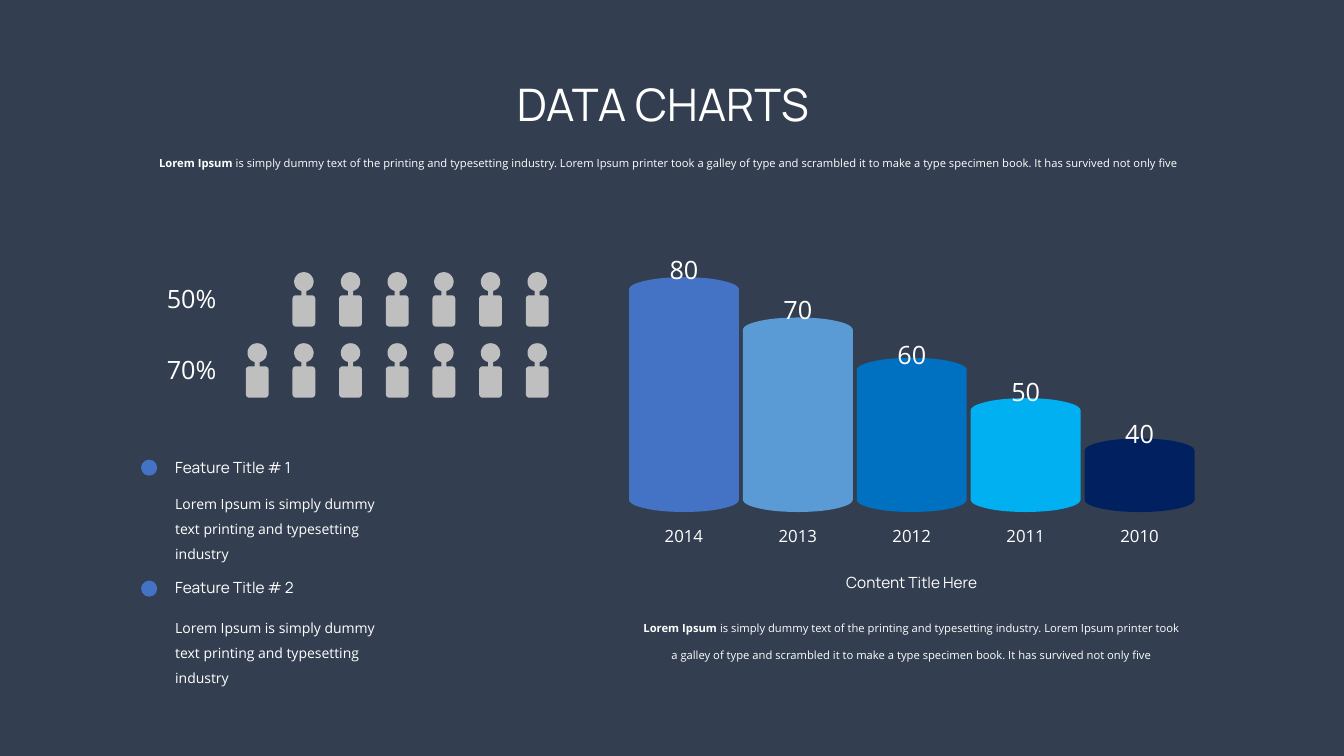
import math
from dataclasses import dataclass

from pptx import Presentation, util as u
from pptx.dml.color import RGBColor
from pptx.enum import shapes, text

# The grid has square cells: 75 rows fill the height of the slide.
COLS, ROWS = 133.33, 75
CELL = u.Inches(7.5) // ROWS
UNITS = 100  # outline units in one cell

Point = tuple[float, float]


@dataclass(frozen=True)
class Theme:
    background: str = "333F50"
    text: str = "FFFFFF"
    accent: str = "4472C4"
    person: str = "BFBFBF"
    bars: tuple[str, ...] = ("4472C4", "5B9BD5", "0070C0", "00B0F0", "002060")
    heading_font: str = "Manrope"
    body_font: str = "Open Sans"
    title: int = 32
    value: int = 18
    year: int = 12
    heading: int = 11
    body: int = 10
    small: int = 8


@dataclass(frozen=True)
class Label:
    text: str
    col: float
    row: float
    width: float
    height: float
    size: int
    font: str
    centred: bool = False
    spacing: float = 1.0
    bold_lead: str = ""


@dataclass(frozen=True)
class Bar:
    year: int
    value: int
    value_row: float


@dataclass(frozen=True)
class Crowd:
    share: str
    people: int
    row: float


@dataclass(frozen=True)
class Feature:
    title: str
    title_row: float
    dot_row: float
    body_row: float


THEME = Theme()
LEAD = "Lorem Ipsum"
INTRO = (" is simply dummy text of the printing and typesetting industry. "
         "Lorem Ipsum printer took a galley of type and scrambled it to make "
         "a type specimen book. It has survived not only five")
FEATURE_BODY = "Lorem Ipsum is simply dummy text printing and typesetting industry"

BARS = (Bar(2014, 80, 24.7), Bar(2013, 70, 28.7), Bar(2012, 60, 33.2),
        Bar(2011, 50, 36.8), Bar(2010, 40, 41))
BAR_LEFT, BAR_PITCH, BAR_WIDTH, BAR_BOTTOM = 62.4, 11.3, 10.9, 50.8
SHORTEST, ROWS_PER_POINT = 7.3, 0.4
CAP = SHORTEST / 6

CROWDS = (Crowd("50%", 6, 27), Crowd("70%", 7, 34.05))
LAST_PERSON, PERSON_PITCH = 53.3, 4.63

FEATURES = (Feature("Feature Title # 1", 45, 45.6, 47.8),
            Feature("Feature Title # 2", 56.9, 57.6, 60.1))
FEATURE_COL = 16.4

LABELS = (
    Label("DATA CHARTS", 50.3, 7.1, 32.8, 6.4, THEME.title, THEME.heading_font),
    Label(INTRO, 14.8, 13.7, 103.7, 3.3, THEME.small, THEME.body_font,
          spacing=2.0, bold_lead=LEAD),
    Label("Content Title Here", 82.5, 56.4, 15.9, 2.9, THEME.heading,
          THEME.heading_font, centred=True),
    Label(INTRO, 62.4, 59.8, 56.1, 6, THEME.small, THEME.body_font,
          centred=True, spacing=2.0, bold_lead=LEAD),
)


def cells(count: float) -> u.Emu:
    return u.Emu(round(count * CELL))


def paint(sp, colour: str) -> None:
    sp.fill.solid()
    sp.fill.fore_color.rgb = RGBColor.from_string(colour)
    sp.line.fill.background()
    sp.shadow.inherit = False


def add_preset(s, kind: shapes.MSO_SHAPE, col: float, row: float,
               width: float, height: float, colour: str) -> None:
    sp = s.shapes.add_shape(kind, *map(cells, (col, row, width, height)))
    paint(sp, colour)


def add_outline(s, points: list[Point], colour: str) -> None:
    scaled = [(x * UNITS, y * UNITS) for x, y in points]
    builder = s.shapes.build_freeform(*scaled[0], scale=CELL / UNITS)
    builder.add_line_segments(scaled[1:], close=True)
    paint(builder.convert_to_shape(), colour)


def arc(x: float, y: float, rx: float, ry: float,
        start: float, end: float, steps: int = 24) -> list[Point]:
    """Points on an ellipse; degrees run clockwise from the right."""
    angles = [math.radians(start + (end - start) * i / steps)
              for i in range(steps + 1)]
    return [(x + rx * math.cos(a), y + ry * math.sin(a)) for a in angles]


def add_label(s, label: Label) -> None:
    box = s.shapes.add_textbox(*map(cells, (label.col, label.row,
                                           label.width, label.height)))
    tf = box.text_frame
    tf.word_wrap = True
    tf.auto_size = text.MSO_AUTO_SIZE.SHAPE_TO_FIT_TEXT
    p = tf.paragraphs[0]
    p.text = label.bold_lead or label.text
    if label.bold_lead:
        p.runs[0].font.bold = True
        p.add_run().text = label.text
    p.alignment = text.PP_ALIGN.CENTER if label.centred else text.PP_ALIGN.LEFT
    p.line_spacing = label.spacing
    for r in p.runs:
        r.font.name = label.font
        r.font.size = u.Pt(label.size)
        r.font.color.rgb = RGBColor.from_string(THEME.text)


def add_bar(s, bar: Bar, left: float, colour: str) -> None:
    height = SHORTEST + (bar.value - BARS[-1].value) * ROWS_PER_POINT
    top, middle = BAR_BOTTOM - height, left + BAR_WIDTH / 2
    if math.isclose(height, 6 * CAP):
        add_preset(s, shapes.MSO_SHAPE.FLOWCHART_MAGNETIC_DISK,
                   left, top, BAR_WIDTH, height, colour)
    else:
        add_outline(s, arc(middle, top + CAP, BAR_WIDTH / 2, CAP, 180, 360)
                    + arc(middle, BAR_BOTTOM - CAP, BAR_WIDTH / 2, CAP, 0, 180),
                    colour)
    add_label(s, Label(str(bar.value), middle - 3.6, bar.value_row, 7.2, 4,
                       THEME.value, THEME.body_font, centred=True))
    add_label(s, Label(str(bar.year), middle - 4, 51.7, 8, 3,
                       THEME.year, THEME.body_font, centred=True))


def add_person(s, x: float, top: float) -> None:
    """Head, neck and rounded body in one outline, centred on x."""
    neck, body, corner = 0.25, 1.13, 0.35
    shoulder, foot = top + 2.3, top + 5.4
    inner = body - corner
    add_outline(s, arc(x, top + 0.95, 0.97, 0.95, 105, 435)
                + [(x + neck, shoulder)]
                + arc(x + inner, shoulder + corner, corner, corner, -90, 0, 6)
                + arc(x + inner, foot - corner, corner, corner, 0, 90, 6)
                + arc(x - inner, foot - corner, corner, corner, 90, 180, 6)
                + arc(x - inner, shoulder + corner, corner, corner, 180, 270, 6)
                + [(x - neck, shoulder)], THEME.person)


def add_crowd(s, crowd: Crowd) -> None:
    for i in range(crowd.people):
        add_person(s, LAST_PERSON - i * PERSON_PITCH, crowd.row)
    add_label(s, Label(crowd.share, 15.4, crowd.row + 0.6, 7.2, 4,
                       THEME.value, THEME.body_font, centred=True))


def add_feature(s, feature: Feature) -> None:
    add_preset(s, shapes.MSO_SHAPE.OVAL, 14, feature.dot_row, 1.6, 1.6, THEME.accent)
    add_label(s, Label(feature.title, FEATURE_COL, feature.title_row, 14.7, 2.9,
                       THEME.heading, THEME.heading_font))
    add_label(s, Label(FEATURE_BODY, FEATURE_COL, feature.body_row, 24, 5.8,
                       THEME.body, THEME.body_font, spacing=1.5))


def main() -> None:
    prs = Presentation()
    prs.slide_width, prs.slide_height = cells(COLS), cells(ROWS)
    s = prs.slides.add_slide(prs.slide_layouts[6])
    add_preset(s, shapes.MSO_SHAPE.RECTANGLE, 0, 0, COLS, ROWS, THEME.background)
    for label in LABELS:
        add_label(s, label)
    for i, (bar, colour) in enumerate(zip(BARS, THEME.bars)):
        add_bar(s, bar, BAR_LEFT + i * BAR_PITCH, colour)
    for feature in FEATURES:
        add_feature(s, feature)
    for crowd in CROWDS:
        add_crowd(s, crowd)
    prs.save("out.pptx")


if __name__ == "__main__":
    main()
